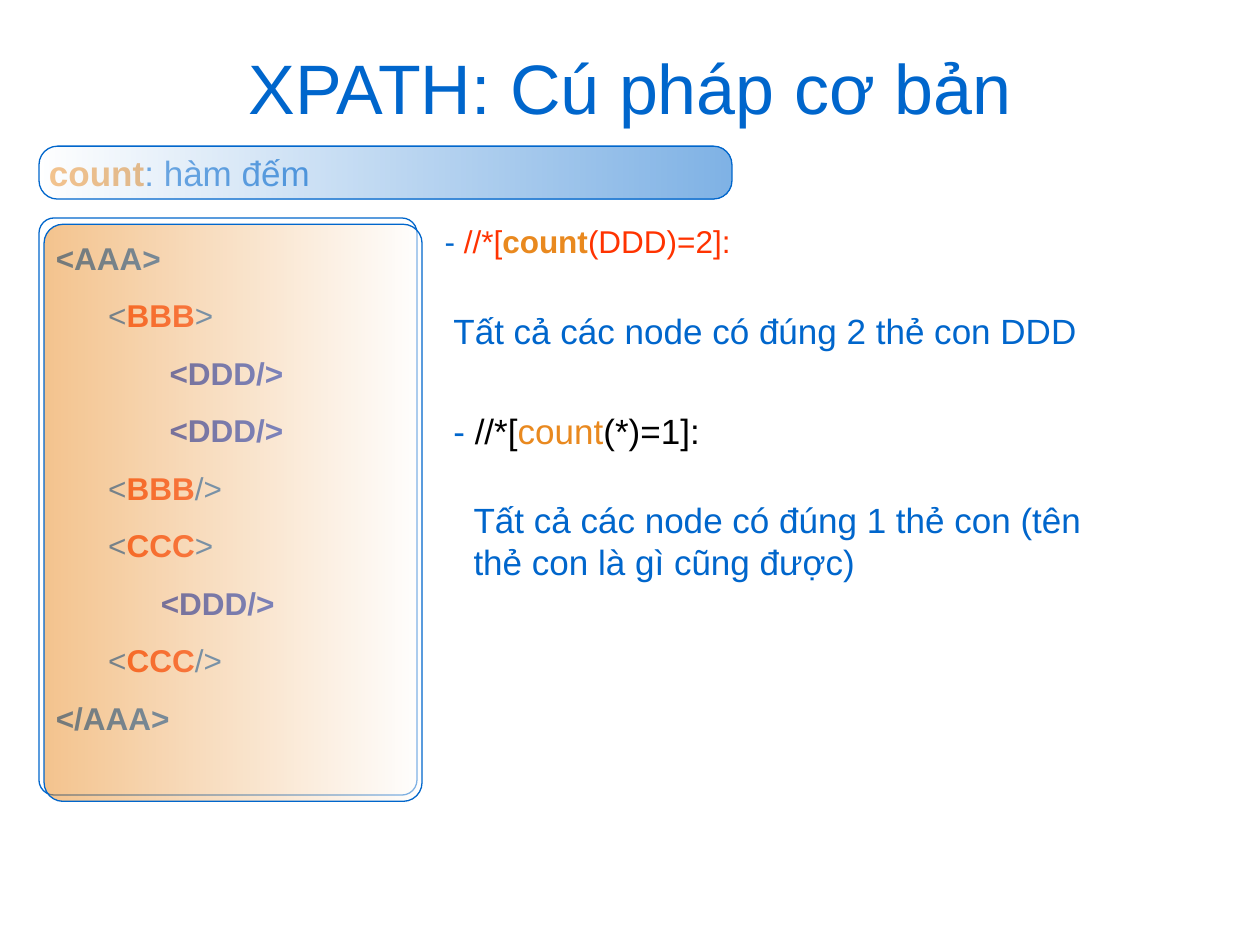
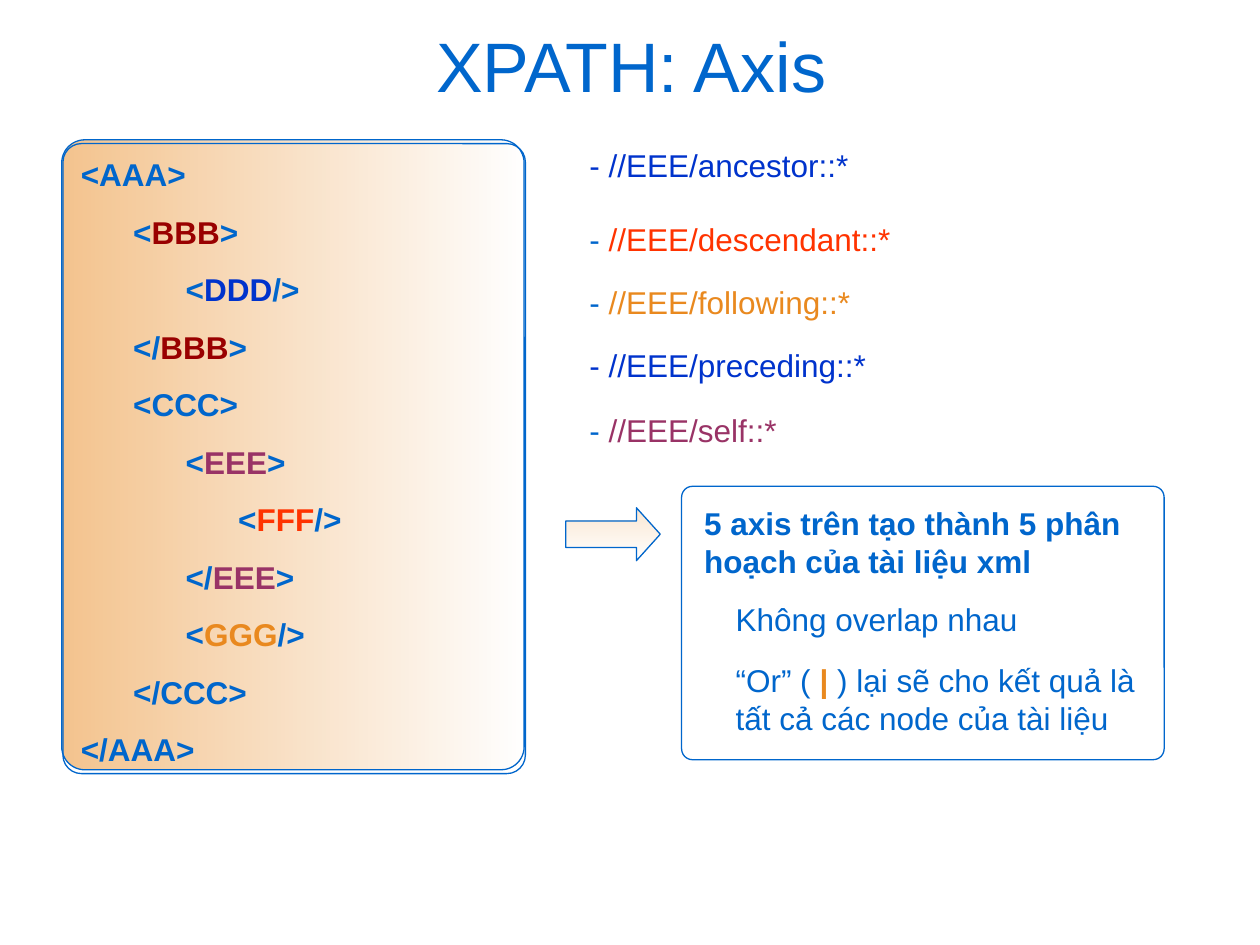
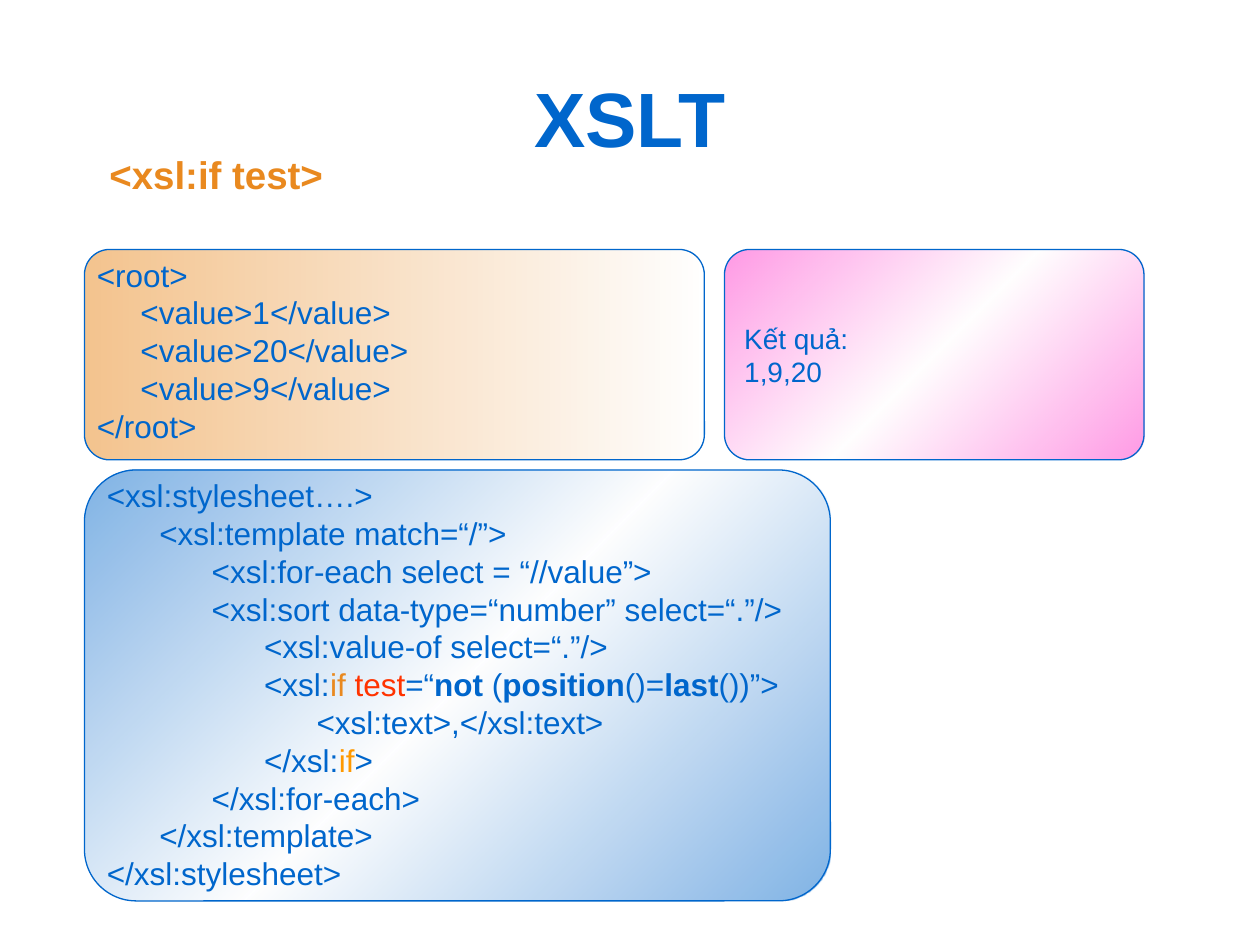
from lxml.etree import SubElement
from pptx import Presentation
from pptx.dml.color import RGBColor
from pptx.enum.shapes import MSO_SHAPE
from pptx.enum.text import MSO_ANCHOR, PP_ALIGN
from pptx.oxml.ns import qn
from pptx.util import Inches, Pt

COLORS = {
    "blue": "0066CC", "navy": "0033CC", "orange": "E9891F", "red": "FF3300",
    "maroon": "990000", "plum": "993366", "amber": "FF9900", "pink": "FF33CC",
    "black": "000000", "white": "FFFFFF",
}
FONT = "Arial"
CODE_GAP, TEXT_GAP = 11.25, 0

# Content: a paragraph is a string or a list of spans (text, color, bold);
# a plain string within a list takes the format of its box
COUNT_TITLE = "XPATH: Cú pháp cơ bản"
COUNT_HEADING = [("count", "orange", True), ": hàm đếm"]
COUNT_CODE = [
    [("<AAA>", "blue", True)],
    ["      <", ("BBB", "red", True), ">"],
    ["             ", ("<DDD/>", "navy", True)],
    ["             ", ("<DDD/>", "navy", True)],
    ["      <", ("BBB", "red", True), "/>"],
    ["      <", ("CCC", "red", True), ">"],
    ["            ", ("<DDD/>", "navy", True)],
    ["      <", ("CCC", "red", True), "/>"],
    [("</AAA>", "blue", True)],
]
# Place, size and paragraph of each explanation
COUNT_NOTES = [
    ((3.43, 1.71, 5.75, 0.44), 18,
     ["- ", ("//*[", "red", False), ("count", "orange", True),
      ("(DDD)=2]:", "red", False)]),
    ((3.5, 2.41, 5.25, 0.44), 20, "Tất cả các node có đúng 2 thẻ con DDD"),
    ((3.5, 3.2, 5.67, 0.44), 20,
     ["- ", ("//*[", "black", False), ("count", "orange", False),
      ("(*)=1]:", "black", False)]),
    ((3.66, 3.91, 5.08, 0.77), 20,
     "Tất cả các node có đúng 1 thẻ con (tên thẻ con là gì cũng được)"),
]

AXIS_TITLE = "XPATH: Axis"
AXIS_CODE = [
    "<AAA>",
    ["      <", ("BBB", "maroon", True), ">"],
    ["            <", ("DDD", "navy", True), "/>"],
    ["      </", ("BBB", "maroon", True), ">"],
    "      <CCC>",
    ["            <", ("EEE", "plum", True), ">"],
    ["                  <", ("FFF", "red", True), "/>"],
    ["            </", ("EEE", "plum", True), ">"],
    ["            <", ("GGG", "orange", True), "/>"],
    "      </CCC>",
    "</AAA>",
]
# Top, dash color, axis name, axis color
AXES = [
    (1.11, "navy", "ancestor", "navy"),
    (1.7, "blue", "descendant", "red"),
    (2.2, "blue", "following", "orange"),
    (2.7, "navy", "preceding", "navy"),
    (3.21, "blue", "self", "plum"),
]
# Place, bold and paragraph of each conclusion
AXIS_NOTES = [
    ((5.49, 3.95, 3.67, 0.7), True,
     "5 axis trên tạo thành 5 phân hoạch của tài liệu xml"),
    ((5.74, 4.71, 3.67, 0.4), False, "Không overlap nhau"),
    ((5.74, 5.2, 3.67, 0.7), False,
     ["“Or” ( ", ("| ", "orange", True),
      ") lại sẽ cho kết quả là tất cả các node của tài liệu"]),
]

XSLT_TITLE = "XSLT"
XSLT_HEADING = "<xsl:if test>"
XSLT_INPUT = [
    "<root>",
    "     <value>1</value>",
    "     <value>20</value>",
    "     <value>9</value>",
    "</root>",
]
XSLT_CODE = [
    "<xsl:stylesheet….>",
    "      <xsl:template match=“/”>",
    "            <xsl:for-each select = “//value”>",
    "            <xsl:sort data-type=“number” select=“.”/>",
    "                  <xsl:value-of select=“.”/>",
    ["                  <xsl:", ("if ", "orange", False),
     ("test", "red", False), "=“", ("not", "blue", True), " (",
     ("position", "blue", True), "()=", ("last", "blue", True), "())”>"],
    "                        <xsl:text>,</xsl:text>",
    ["                  </xsl:", ("if", "amber", False), ">"],
    "            </xsl:for-each>",
    "      </xsl:template>",
    "</xsl:stylesheet>",
]
XSLT_RESULT = ["Kết quả:", "1,9,20"]


def write_text(shape, paragraphs, size=18, color="blue", bold=False,
               gap=TEXT_GAP, align=PP_ALIGN.LEFT, anchor=MSO_ANCHOR.TOP):
    """Fill a shape with paragraphs, spacing all but the first."""
    frame = shape.text_frame
    frame.word_wrap = True
    frame.vertical_anchor = anchor
    for index, content in enumerate(paragraphs):
        para = frame.add_paragraph() if index else frame.paragraphs[0]
        para.alignment = align
        para.space_before = Pt(gap if index else 0)
        for part in [content] if isinstance(content, str) else content:
            text, tint, heavy = (part, color, bold) if isinstance(part, str) else part
            span = para.add_run()
            span.text = text
            span.font.name = FONT
            span.font.size = Pt(size)
            span.font.bold = heavy
            span.font.color.rgb = RGBColor.from_string(COLORS[tint])


def add_text(page, place, paragraphs, **style):
    box = page.shapes.add_textbox(*map(Inches, place))
    write_text(box, paragraphs, **style)


def add_title(page, place, text, size=40, bold=False):
    add_text(page, place, [text], size=size, bold=bold,
             align=PP_ALIGN.CENTER, anchor=MSO_ANCHOR.MIDDLE)


def set_gradient(shape, names, angle, opacity):
    """Spread translucent colors evenly along a straight gradient."""
    shape.fill.gradient()
    gradient = shape._element.spPr.find(qn("a:gradFill"))
    gradient.clear()
    stops = SubElement(gradient, qn("a:gsLst"))
    for index, name in enumerate(names):
        position = 100000 * index // (len(names) - 1)
        stop = SubElement(stops, qn("a:gs"), pos=str(position))
        tint = SubElement(stop, qn("a:srgbClr"), val=COLORS[name])
        SubElement(tint, qn("a:alpha"), val=str(opacity * 1000))
    SubElement(gradient, qn("a:lin"), ang=str(angle * 60000), scaled="0")


def add_panel(page, place, adjustments, names=None, angle=0, opacity=50,
              preset=MSO_SHAPE.ROUNDED_RECTANGLE):
    """Add a blue-outlined shape, with a gradient when colors are named."""
    panel = page.shapes.add_shape(preset, *map(Inches, place))
    panel.shadow.inherit = False
    for index, value in enumerate(adjustments):
        panel.adjustments[index] = value
    panel.line.color.rgb = RGBColor.from_string(COLORS["blue"])
    panel.line.width = Pt(0.75)
    if names:
        set_gradient(panel, names, angle, opacity)
    else:
        panel.fill.background()
    return panel


def build_count(page):
    add_title(page, (0.5, 0.3, 9, 0.77), COUNT_TITLE)
    # Code under a translucent panel
    code = add_panel(page, (0.31, 1.73, 3, 4.58), [0.04])
    code.text_frame.margin_top = Inches(0.13)
    write_text(code, COUNT_CODE, gap=CODE_GAP)
    add_panel(page, (0.35, 1.78, 3, 4.58), [0.05], ["orange", "white"])
    # Heading under a translucent bar
    add_text(page, (0.29, 1.15, 6.33, 0.44), [COUNT_HEADING], size=20)
    add_panel(page, (0.31, 1.16, 5.5, 0.42), [0.35], ["white", "blue"])
    for place, size, note in COUNT_NOTES:
        add_text(page, place, [note], size=size)


def build_axis(page):
    add_title(page, (0.51, 0.21, 9, 0.61), AXIS_TITLE)
    # Code panel
    add_panel(page, (0.49, 1.11, 3.67, 5), [0.05], ["orange", "white"])
    code = add_panel(page, (0.5, 1.14, 3.67, 5), [0.04])
    write_text(code, AXIS_CODE, bold=True, gap=CODE_GAP)
    # Axis list
    for top, dash_color, axis, color in AXES:
        line = [("- ", dash_color, False), (f"//EEE/{axis}::*", color, False)]
        add_text(page, (4.58, top, 3.67, 0.4), [line])
    # Conclusion
    for place, bold, note in AXIS_NOTES:
        add_text(page, place, [note], bold=bold)
    add_panel(page, (4.49, 4.03, 0.75, 0.42), [0.5, 0.45], ["orange", "white"],
              angle=90, opacity=20, preset=MSO_SHAPE.RIGHT_ARROW)
    add_panel(page, (5.41, 3.86, 3.83, 2.17), [0.04])


def build_xslt(page):
    add_title(page, (0.5, 0.3, 9, 1.25), XSLT_TITLE, size=44, bold=True)
    add_text(page, (0.77, 1.15, 6.48, 0.47), [XSLT_HEADING],
             size=22, color="orange", bold=True)
    # Input document
    add_panel(page, (0.67, 1.98, 4.92, 1.67), [0.12], ["orange", "white"])
    add_text(page, (0.67, 1.98, 5.67, 1.6), XSLT_INPUT)
    # Stylesheet
    add_panel(page, (0.67, 3.73, 5.92, 3.42), [0.12],
              ["blue", "white", "blue"], angle=225)
    add_text(page, (0.75, 3.73, 5.83, 3.4), XSLT_CODE)
    # Result
    result = add_panel(page, (5.75, 1.98, 3.33, 1.67), [0.12],
                       ["pink", "white", "pink"], angle=225)
    write_text(result, XSLT_RESULT, size=16, anchor=MSO_ANCHOR.MIDDLE)


def main():
    deck = Presentation()
    deck.slide_width, deck.slide_height = Inches(10), Inches(7.5)
    for build in (build_count, build_axis, build_xslt):
        build(deck.slides.add_slide(deck.slide_layouts[6]))
    deck.save("out.pptx")


if __name__ == "__main__":
    main()
